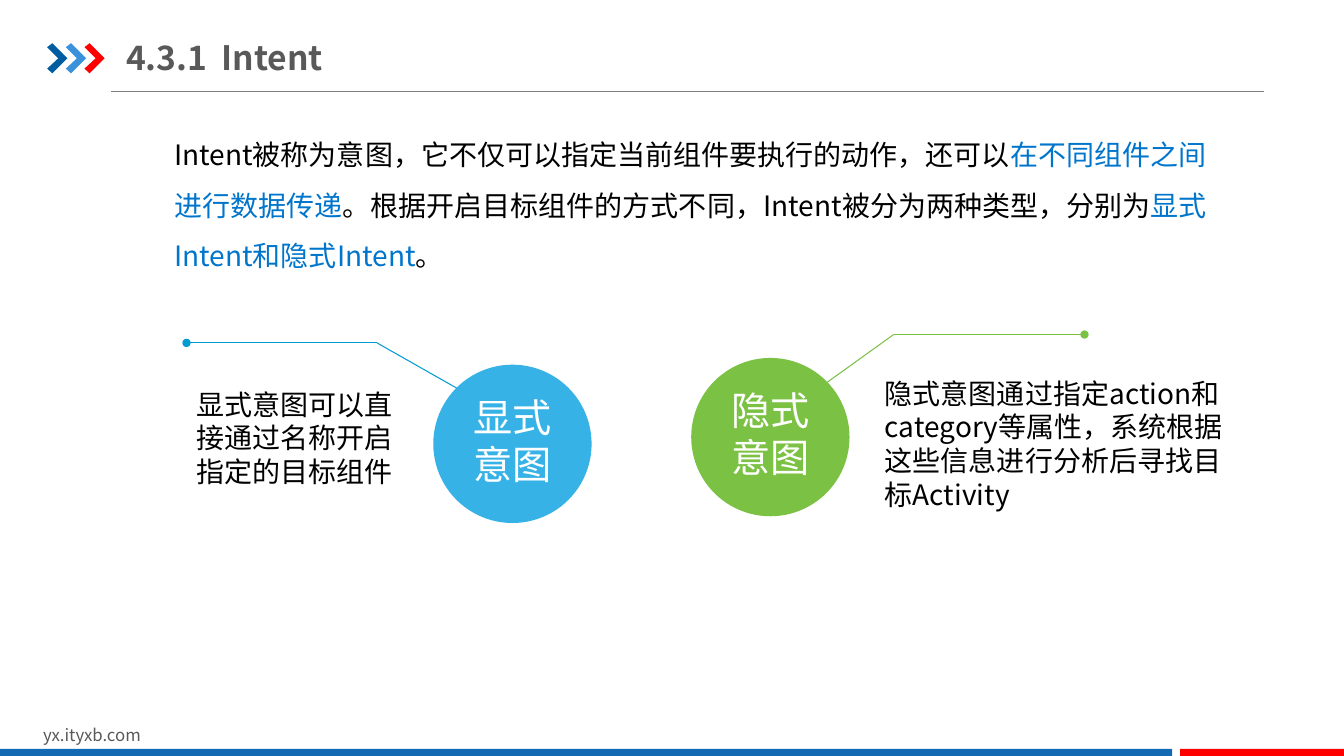
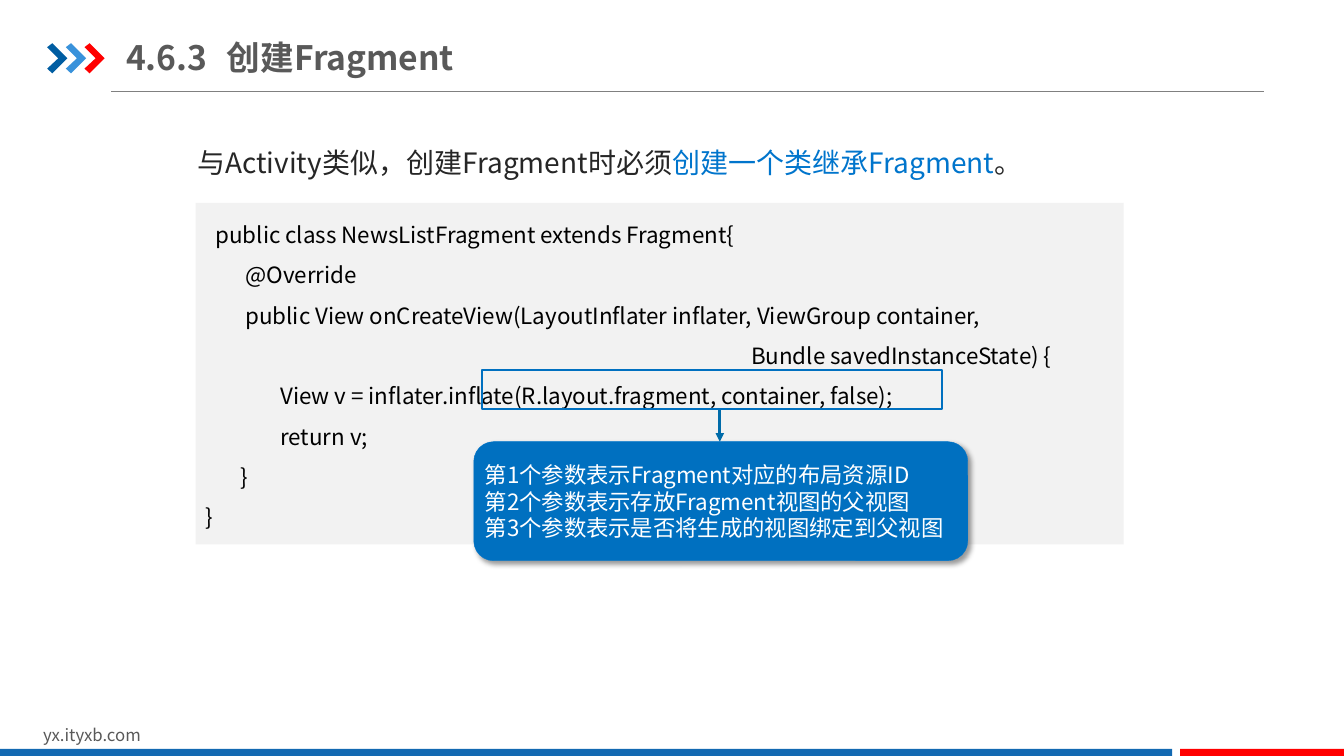
from lxml.etree import SubElement
from pptx import Presentation
from pptx.dml.color import RGBColor
from pptx.enum.shapes import MSO_CONNECTOR, MSO_SHAPE
from pptx.enum.text import MSO_ANCHOR, MSO_AUTO_SIZE, PP_ALIGN
from pptx.oxml.ns import qn
from pptx.util import Cm, Pt

# Shared style
FONT = "Noto Sans CJK SC"
GREY, BLACK, INK, WHITE = "595959", "000000", "262626", "FFFFFF"
ACCENT = "0075CC"
CHEVRON_COLOURS = ["005DA2", "3992DB", "FF0000"]
CHEVRON_OUTLINE = [(0, 0.1), (0.13, 0), (0.51, 0.38), (0.13, 0.76), (0, 0.64), (0.28, 0.38)]
BANDS = [(0, 29.54, "1369B2"), (29.74, 4.13, "FF0000")]
WEBSITE = "yx.ityxb.com"

# Slide content: lengths in centimetres
INTENT_INTRO = [
    ("Intent被称为意图，它不仅可以指定当前组件要执行的动作，还可以", BLACK),
    ("在不同组件之间进行数据传递", ACCENT),
    ("。根据开启目标组件的方式不同，Intent被分为两种类型，分别为", BLACK),
    ("显式Intent和隐式Intent", ACCENT),
    ("。", BLACK),
]
INTENT_KINDS = [
    dict(name=["显式", "意图"], circle=(10.92, 9.19), fill="36B2E6", line="009BD2",
         foot=(11.51, 9.78), elbow=(9.5, 8.64), dot=(4.7, 8.64),
         note="显式意图可以直接通过名称开启指定的目标组件", note_at=(4.7, 9.63, 5.49, 2.82)),
    dict(name=["隐式", "意图"], circle=(17.42, 9.02), fill="7BC143", line="7BC143",
         foot=(20.85, 9.63), elbow=(22.52, 8.43), dot=(27.33, 8.43),
         note="隐式意图通过指定action和category等属性，系统根据这些信息进行分析后寻找目标Activity",
         note_at=(22.05, 9.35, 9.14, 3.68)),
]
CIRCLE_SIZE = 3.99

FRAGMENT_INTRO = [
    ("与Activity类似，创建Fragment时必须", INK),
    ("创建一个类继承Fragment", ACCENT),
    ("。", INK),
]
CODE = [
    "  public class NewsListFragment extends Fragment{",
    "        @Override",
    "        public View onCreateView(LayoutInflater inflater, ViewGroup container,",
    "\tBundle savedInstanceState) {",
    "               View v = inflater.inflate(R.layout.fragment, container, false);",
    "               return v;",
    "       }",
    "}",
]
PARAMETERS = [
    "第1个参数表示Fragment对应的布局资源ID",
    "第2个参数表示存放Fragment视图的父视图",
    "第3个参数表示是否将生成的视图绑定到父视图",
]


def colour(value):
    return RGBColor.from_string(value)


def plain(lines, ink):
    """One single-run paragraph per line."""
    return [[(line, ink)] for line in lines]


def write(box, paras, size, bold=False, align=PP_ALIGN.LEFT, spacing=None,
          anchor=MSO_ANCHOR.TOP, insets=(0.25, 0.13), tab=None):
    frame = box.text_frame
    frame.word_wrap = True
    frame.auto_size = MSO_AUTO_SIZE.NONE
    frame.vertical_anchor = anchor
    frame.margin_left = frame.margin_right = Cm(insets[0])
    frame.margin_top = frame.margin_bottom = Cm(insets[1])
    for index, runs in enumerate(paras):
        para = frame.add_paragraph() if index else frame.paragraphs[0]
        para.alignment = align
        if tab:
            stops = SubElement(para._p.get_or_add_pPr(), qn("a:tabLst"))
            SubElement(stops, qn("a:tab"), pos=str(Cm(tab)), algn="l")
        if spacing:
            para.line_spacing = spacing
        for words, ink in runs:
            span = para.add_run()
            span.text = words
            span.font.size = Pt(size)
            span.font.bold = bold
            span.font.color.rgb = colour(ink)
            span.font.name = FONT
            SubElement(span._r.get_or_add_rPr(), qn("a:ea"), typeface=FONT)


def add_text(page, place, paras, size, **style):
    box = page.shapes.add_textbox(*map(Cm, place))
    write(box, paras, size, **style)


def paint(shape, fill=None, line=None, width=0.75):
    shape.shadow.inherit = False
    if fill:
        shape.fill.solid()
        shape.fill.fore_color.rgb = colour(fill)
    else:
        shape.fill.background()
    if line:
        shape.line.color.rgb = colour(line)
        shape.line.width = Pt(width)
    else:
        shape.line.fill.background()


def add_box(page, kind, place, **look):
    shape = page.shapes.add_shape(kind, *map(Cm, place))
    paint(shape, **look)
    return shape


def add_line(page, start, end, ink, width=0.75, tail=None):
    line = page.shapes.add_connector(MSO_CONNECTOR.STRAIGHT, *map(Cm, start + end))
    line.line.color.rgb = colour(ink)
    line.line.width = Pt(width)
    if tail:
        SubElement(line.line._get_or_add_ln(), qn("a:tailEnd"), type=tail)
    SubElement(line._element.spPr, qn("a:effectLst"))


def add_soft_shadow(shape):
    effects = shape._element.spPr.find(qn("a:effectLst"))
    shadow = SubElement(effects, qn("a:outerShdw"), blurRad=str(Pt(4)), dist=str(Pt(3)),
                        dir="2700000", algn="tl", rotWithShape="0")
    ink = SubElement(shadow, qn("a:srgbClr"), val=BLACK)
    SubElement(ink, qn("a:alpha"), val="40000")


def add_page(deck, title, tab):
    page = deck.slides.add_slide(deck.slide_layouts[5])
    # Title and rule
    heading = page.shapes.title
    heading.left, heading.top, heading.width, heading.height = map(Cm, (3.18, 0.74, 16.36, 1.4))
    write(heading, plain([title], GREY), 24, bold=True, anchor=MSO_ANCHOR.MIDDLE,
          insets=(0, 0.18), tab=tab)
    add_line(page, (2.8, 2.31), (31.85, 2.31), "808080")
    # Chevrons
    for index, fill in enumerate(CHEVRON_COLOURS):
        points = [(Cm(1.19 + 0.47 * index + x), Cm(1.09 + y)) for x, y in CHEVRON_OUTLINE]
        outline = page.shapes.build_freeform(*points[0])
        outline.add_line_segments(points[1:], close=True)
        paint(outline.convert_to_shape(), fill)
    # Footer
    add_text(page, (0.84, 18.14, 8.08, 0.76), plain([WEBSITE], GREY), 12)
    for left, width, fill in BANDS:
        add_box(page, MSO_SHAPE.RECTANGLE, (left, 18.87, width, 0.18), fill=fill)
    return page


def build_intent(deck):
    page = add_page(deck, "4.3.1\tIntent", 2.4)
    add_text(page, (4.14, 2.92, 27.05, 4.09), [INTENT_INTRO], 20, spacing=1.5)
    for kind in INTENT_KINDS:
        circle = add_box(page, MSO_SHAPE.FLOWCHART_CONNECTOR,
                         kind["circle"] + (CIRCLE_SIZE, CIRCLE_SIZE), fill=kind["fill"])
        write(circle, plain(kind["name"], WHITE), 28, align=PP_ALIGN.CENTER)
        add_line(page, kind["elbow"], kind["dot"], kind["line"], tail="oval")
        add_line(page, kind["elbow"], kind["foot"], kind["line"])
        add_text(page, kind["note_at"], plain([kind["note"]], BLACK), 20)


def build_fragment(deck):
    page = add_page(deck, "4.6.3\t创建Fragment", 2.54)
    add_text(page, (4.72, 3.12, 24.82, 1.55), [FRAGMENT_INTRO], 20, spacing=1.5)
    # Code listing with the highlighted call
    listing = add_box(page, MSO_SHAPE.RECTANGLE, (4.93, 5.11, 23.39, 8.61), fill="F2F2F2")
    write(listing, plain(CODE, BLACK), 16, spacing=1.5, tab=13.75)
    add_box(page, MSO_SHAPE.RECTANGLE, (12.14, 9.32, 11.61, 0.99), line="0070C0", width=1.5)
    # Callout explaining the parameters
    callout = add_box(page, MSO_SHAPE.ROUNDED_RECTANGLE, (11.94, 11.13, 12.45, 3),
                      fill="0070C0", line=ACCENT, width=0.25)
    add_soft_shadow(callout)
    write(callout, plain(PARAMETERS, WHITE), 16, anchor=MSO_ANCHOR.MIDDLE, insets=(0.13, 0.13))
    add_line(page, (18.14, 10.34), (18.14, 11.13), "006BA9", 2, "triangle")


def main():
    deck = Presentation()
    deck.slide_width, deck.slide_height = Cm(33.87), Cm(19.05)
    build_intent(deck)
    build_fragment(deck)
    deck.save("out.pptx")


if __name__ == "__main__":
    main()
